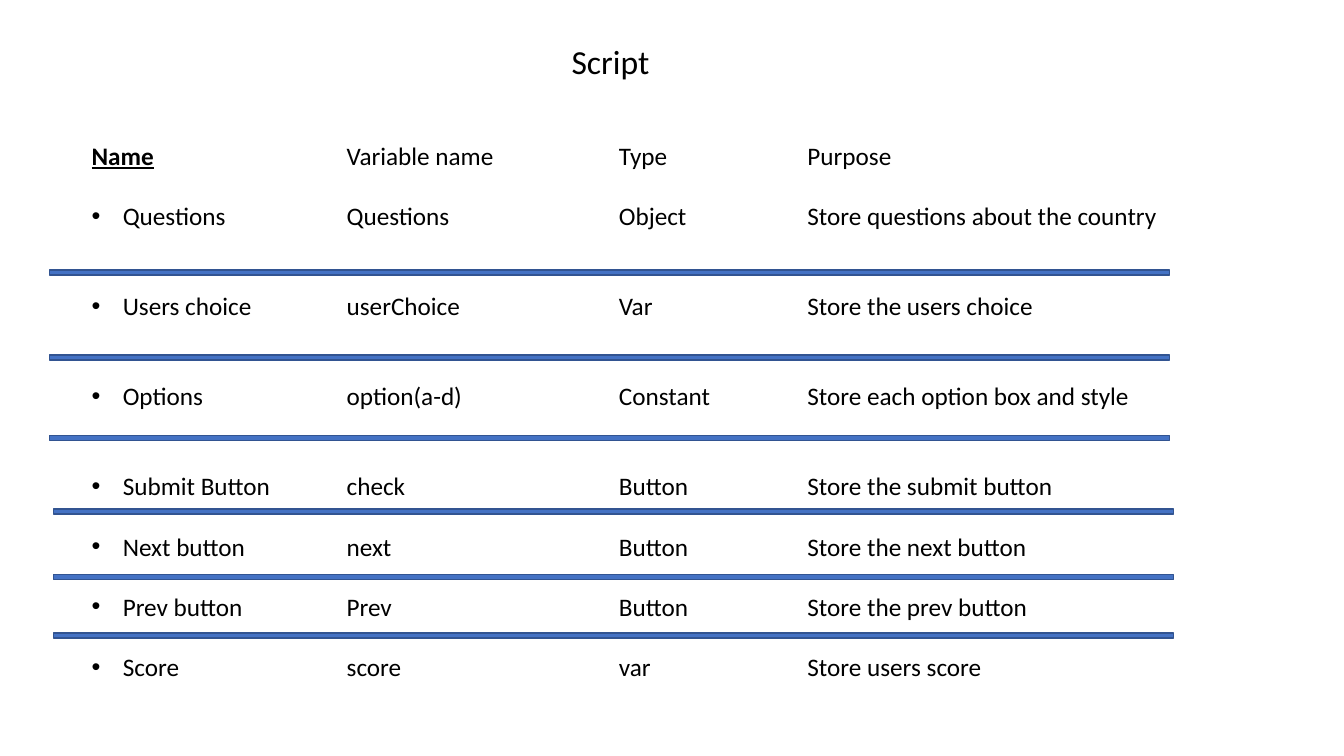
from dataclasses import dataclass

import pptx
import pptx.dml.color
import pptx.enum.shapes
import pptx.enum.text
import pptx.oxml
import pptx.oxml.ns
import pptx.util

Inches = pptx.util.Inches
Pt = pptx.util.Pt

LINE_GAP = 21.4
LINES_BEFORE = (0, 1, 2, 2, 2, 1, 1, 1)
COLUMN_TOP, COLUMN_HEIGHT = 1.34, 5.55
BAR_WIDTH, BAR_HEIGHT = 11.11, 0.05


@dataclass
class Column:
    left: float
    width: float
    header: str
    entries: tuple[str, ...]
    bulleted: bool = False


@dataclass
class Bar:
    left: float
    top: float


COLUMNS = (
    Column(0.81, 2.53, "Name",
           ("Questions", "Users choice", "Options", "Submit Button",
            "Next button", "Prev button", "Score"), bulleted=True),
    Column(3.34, 2.23, "Variable name",
           ("Questions", "userChoice", "option(a-d)", "check",
            "next", "Prev", "score")),
    Column(6.04, 1.74, "Type",
           ("Object", "Var", "Constant", "Button", "Button", "Button", "var")),
    Column(7.91, 4.62, "Purpose",
           ("Store questions about the country", "Store the users choice",
            "Store each option box and style", "Store the submit button",
            "Store the next button", "Store the prev button",
            "Store users score")),
)
BARS = (Bar(0.49, 2.68), Bar(0.49, 3.52), Bar(0.49, 4.32),
        Bar(0.53, 5.05), Bar(0.53, 5.7), Bar(0.53, 6.28))


def rgb(value: str) -> pptx.dml.color.RGBColor:
    return pptx.dml.color.RGBColor.from_string(value)


def add_text_box(slide, left: float, top: float, width: float, height: float):
    """Add a wrapping text box and return its text frame."""
    sp = slide.shapes.add_textbox(Inches(left), Inches(top),
                                  Inches(width), Inches(height))
    tf = sp.text_frame
    tf.word_wrap = True
    tf.auto_size = pptx.enum.text.MSO_AUTO_SIZE.SHAPE_TO_FIT_TEXT
    return tf


def write(p, text: str, size: float = 18, **extra) -> None:
    r = p.add_run()
    r.text = text
    values = {"name": "Calibri", "size": Pt(size), **extra}
    for name, value in values.items():
        setattr(r.font, name, value)
    r.font.color.rgb = rgb("000000")


def add_bullet(p) -> None:
    pPr = p._p.get_or_add_pPr()
    pPr.set("marL", str(Inches(0.31)))
    pPr.set("indent", str(Inches(-0.31)))
    for tag, name, value in (("a:buFont", "typeface", "Arial"),
                             ("a:buChar", "char", "•")):
        bullet = pptx.oxml.parse_xml(
            f'<{tag} {pptx.oxml.ns.nsdecls("a")} {name}="{value}"/>')
        pPr.append(bullet)


def draw_column(slide, column: Column) -> None:
    tf = add_text_box(slide, column.left, COLUMN_TOP,
                      column.width, COLUMN_HEIGHT)
    heading = {"bold": True, "underline": True} if column.bulleted else {}
    write(tf.paragraphs[0], column.header, **heading)
    for text, lines in zip(column.entries, LINES_BEFORE[1:]):
        p = tf.add_paragraph()
        p.space_before = Pt(lines * LINE_GAP)
        if column.bulleted:
            add_bullet(p)
        write(p, text)


def draw_bar(slide, bar: Bar) -> None:
    sp = slide.shapes.add_shape(
        pptx.enum.shapes.MSO_SHAPE.RECTANGLE, Inches(bar.left),
        Inches(bar.top), Inches(BAR_WIDTH), Inches(BAR_HEIGHT))
    sp.shadow.inherit = False
    sp.fill.solid()
    sp.fill.fore_color.rgb = rgb("4472C4")
    sp.line.color.rgb = rgb("325491")
    sp.line.width = Pt(1)


def main() -> None:
    prs = pptx.Presentation()
    prs.slide_width, prs.slide_height = Inches(13.33), Inches(7.5)
    slide = prs.slides.add_slide(prs.slide_layouts[6])
    for column in COLUMNS:
        draw_column(slide, column)
    title = add_text_box(slide, 5.57, 0.36, 6.62, 0.5)
    write(title.paragraphs[0], "Script", size=24)
    for bar in BARS:
        draw_bar(slide, bar)
    prs.save("out.pptx")


if __name__ == "__main__":
    main()
